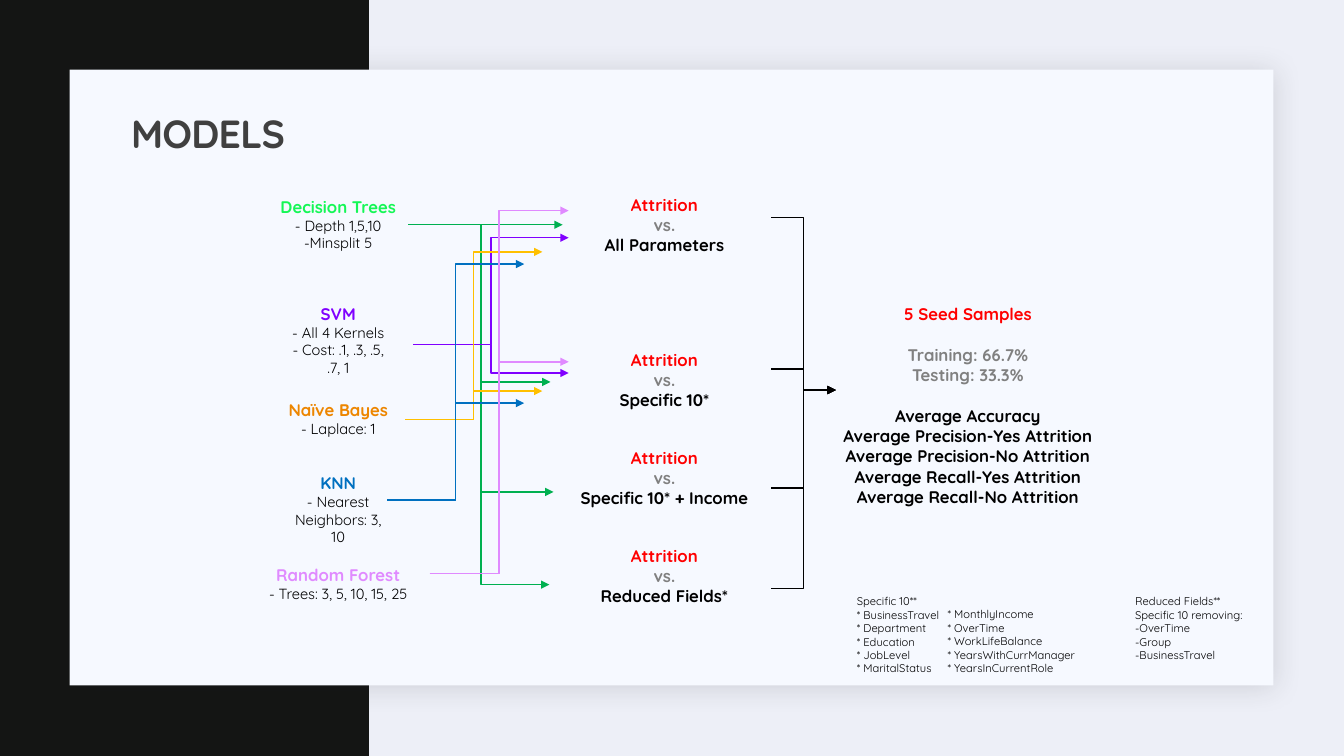
"""Build the slide that maps models to attrition tests and results."""
import dataclasses

import lxml.etree
import pptx
import pptx.dml.color
import pptx.enum.shapes
import pptx.enum.text
import pptx.oxml.ns
import pptx.util


@dataclasses.dataclass(frozen=True)
class Theme:
    """Colours, font and type sizes of the slide."""
    font: str = "Quicksand"
    title: float = 28
    label: float = 12
    detail: float = 10.5
    note: float = 8
    wire: float = 1
    backdrop: str = "EDEFF7"
    band: str = "141514"
    card: str = "F6F9FF"
    shade: str = "1F2125"
    heading: str = "404040"
    ink: str = "000000"
    muted: str = "808080"
    accent: str = "FF0000"
    tree: str = "15F756"
    tree_wire: str = "00B050"
    svm: str = "8000FF"
    bayes: str = "ED8600"
    bayes_wire: str = "FFC000"
    knn: str = "0070C0"
    forest: str = "E08AFF"


@dataclasses.dataclass(frozen=True)
class Line:
    """One paragraph of text with its look."""
    words: str
    size: float
    colour: str
    bold: bool = False
    gap: float = 0


class Canvas:
    """Draws styled elements on one page, measured in grid columns and rows."""
    COLUMNS, ROWS = 133.3, 75

    def __init__(self, deck, theme):
        """Add a page with a title and a body placeholder."""
        self.theme = theme
        self.column = deck.slide_width / self.COLUMNS
        self.row = deck.slide_height / self.ROWS
        self.page = deck.slides.add_slide(deck.slide_layouts[1])
        self.paint(self.page.background.fill, theme.backdrop)

    def paint(self, fill, colour):
        """Give a fill one solid colour."""
        fill.solid()
        fill.fore_color.rgb = pptx.dml.color.RGBColor.from_string(colour)

    def place(self, left, top, width, height):
        """Turn grid cells into slide lengths."""
        return (round(left * self.column), round(top * self.row),
                round(width * self.column), round(height * self.row))

    def child(self, parent, tag, **values):
        """Add a drawing element with its attributes."""
        return lxml.etree.SubElement(parent, pptx.oxml.ns.qn(tag), values)

    def panel(self, area, colour):
        """Draw a plain rectangle."""
        panel = self.page.shapes.add_shape(
            pptx.enum.shapes.MSO_SHAPE.RECTANGLE, *self.place(*area))
        panel.shadow.inherit = False
        self.paint(panel.fill, colour)
        panel.line.fill.background()
        return panel

    def card(self, area, colour):
        """Draw a rectangle with a soft shadow."""
        effects = self.panel(area, colour)._element.spPr.find(
            pptx.oxml.ns.qn("a:effectLst"))
        shadow = self.child(effects, "a:outerShdw", blurRad="254000",
                            dist="25400", dir="2700000", rotWithShape="0")
        shade = self.child(shadow, "a:srgbClr", val=self.theme.shade)
        self.child(shade, "a:alpha", val="15000")

    def typeset(self, box, lines, align):
        """Fill a box with styled paragraphs."""
        frame = box.text_frame
        frame.word_wrap = True
        frame.auto_size = pptx.enum.text.MSO_AUTO_SIZE.NONE
        for index, line in enumerate(lines):
            para = frame.add_paragraph() if index else frame.paragraphs[0]
            para.alignment = align
            para.space_before = pptx.util.Pt(line.gap)
            span = para.add_run()
            span.text = line.words
            span.font.name = self.theme.font
            span.font.size = pptx.util.Pt(line.size)
            span.font.bold = line.bold
            self.paint(span.font.fill, line.colour)

    def text(self, area, lines, align=pptx.enum.text.PP_ALIGN.CENTER):
        """Add a text box."""
        self.typeset(self.page.shapes.add_textbox(*self.place(*area)), lines, align)

    def placeholder(self, index, area, lines, align):
        """Move a template placeholder to the front and fill it."""
        box = self.page.placeholders[index]
        box.left, box.top, box.width, box.height = self.place(*area)
        box._element.getparent().append(box._element)
        self.typeset(box, lines, align)
        return box

    def title(self, area, words):
        """Set the page title."""
        line = Line(words, self.theme.title, self.theme.heading, True)
        box = self.placeholder(0, area, [line], pptx.enum.text.PP_ALIGN.LEFT)
        box.text_frame.vertical_anchor = pptx.enum.text.MSO_ANCHOR.MIDDLE
        para = box.text_frame.paragraphs[0]
        para.line_spacing = 0.9
        para.runs[0]._r.get_or_add_rPr().set("spc", "-50")

    def body(self, area, lines):
        """Set the body list, centred and without bullets."""
        box = self.placeholder(1, area, lines, pptx.enum.text.PP_ALIGN.CENTER)
        box.text_frame.vertical_anchor = pptx.enum.text.MSO_ANCHOR.TOP
        for para in box.text_frame.paragraphs:
            settings = para._p.get_or_add_pPr()
            settings.set("marL", "0")
            settings.set("indent", "0")
            self.child(settings, "a:buNone")

    def arrow(self, start, end, colour):
        """Draw an elbow arrow that turns halfway."""
        arrow = self.page.shapes.add_connector(
            pptx.enum.shapes.MSO_CONNECTOR.ELBOW, *self.place(*start, *end))
        arrow.line.width = pptx.util.Pt(self.theme.wire)
        self.paint(arrow.line.fill, colour)
        self.child(arrow.line._get_or_add_ln(), "a:tailEnd", type="triangle")
        self.child(arrow._element.spPr, "a:effectLst")

    def fan(self, colour, trunk, row, tips):
        """Send arrows from one row through a shared trunk to several tips."""
        for column, tip_row in tips:
            self.arrow((2 * trunk - column, row), (column, tip_row), colour)


def main():
    """Build and save the deck."""
    theme = Theme()
    deck = pptx.Presentation()
    deck.slide_width = pptx.util.Inches(13.33)
    deck.slide_height = pptx.util.Inches(7.5)
    canvas = Canvas(deck, theme)
    canvas.panel((0, 0, 36.6, 75), theme.band)
    canvas.card((6.9, 6.9, 119.4, 61.1), theme.card)
    canvas.title((12, 10.3, 110, 6.4), "MODELS")

    models = [
        ("Decision Trees", theme.tree, 19, 17.7, ["- Depth 1,5,10", "-Minsplit 5"]),
        ("SVM", theme.svm, 29.6, 12, ["- All 4 Kernels", "- Cost: .1, .3, .5, .7, 1"]),
        ("Naïve Bayes", theme.bayes, 39.2, 14.9, ["- Laplace: 1"]),
        ("KNN", theme.knn, 46.4, 12, ["- Nearest Neighbors: 3, 10"]),
        ("Random Forest", theme.forest, 55.5, 17.7, ["- Trees: 3, 5, 10, 15, 25"]),
    ]
    for name, colour, top, width, details in models:
        canvas.text((33.55 - width / 2, top, width, 8.3),
                    [Line(name, theme.label, colour, True)]
                    + [Line(words, theme.detail, theme.ink) for words in details])

    tests = [("All Parameters", 18.8), ("Specific 10*", 34.2),
             ("Specific 10* + Income", 43.9), ("Reduced Fields*", 53.6)]
    for fields, top in tests:
        canvas.text((54.9, top, 22, 7.1), [
            Line("Attrition", theme.label, theme.accent, True),
            Line("vs.", theme.label, theme.muted, True),
            Line(fields, theme.label, theme.ink, True)])

    measures = ["Precision-Yes Attrition", "Precision-No Attrition",
                "Recall-Yes Attrition", "Recall-No Attrition"]
    canvas.body((81.5, 29.6, 29, 21.2), [
        Line("5 Seed Samples", theme.label, theme.accent, True),
        Line("Training: 66.7%", theme.label, theme.muted, True, gap=15),
        Line("Testing: 33.3%", theme.label, theme.muted, True),
        Line("Average Accuracy", theme.label, theme.ink, True, gap=15)]
        + [Line(f"Average {name}", theme.label, theme.ink, True) for name in measures])

    canvas.fan(theme.tree_wire, 47.7, 22.3, [(54.6, 37.9), (54.9, 48.8), (54.5, 58)])
    canvas.fan(theme.tree_wire, 48.4, 22.3, [(55.8, 22.3)])
    canvas.fan(theme.svm, 48.7, 34.2, [(56.4, 23.6), (56.4, 37)])
    canvas.fan(theme.bayes_wire, 47, 41.6, [(53.8, 25), (53.8, 38.8)])
    canvas.fan(theme.knn, 45.2, 49.6, [(52, 26.2), (52, 40)])
    canvas.fan(theme.forest, 49.5, 56.9, [(56.4, 20.9), (56.4, 35.9)])
    for row in (21.6, 36.6, 48.4, 58.4):
        canvas.fan(theme.ink, 79.7, row, [(82.9, 38.7)])

    notes = [
        ((84, 58.5, 24.4, 10.5), ["Specific 10**", "* BusinessTravel", "* Department",
                                  "* Education", "* JobLevel", "* MaritalStatus"]),
        ((93, 59.8, 15.7, 7.7), ["* MonthlyIncome", "* OverTime", "* WorkLifeBalance",
                                 "* YearsWithCurrManager", "* YearsInCurrentRole"]),
        ((111.6, 58.5, 15.2, 7.7), ["Reduced Fields**", "Specific 10 removing:",
                                    "-OverTime", "-Group", "-BusinessTravel"]),
    ]
    for area, entries in notes:
        canvas.text(area, [Line(words, theme.note, theme.ink) for words in entries],
                    pptx.enum.text.PP_ALIGN.LEFT)
    deck.save("out.pptx")


if __name__ == "__main__":
    main()
